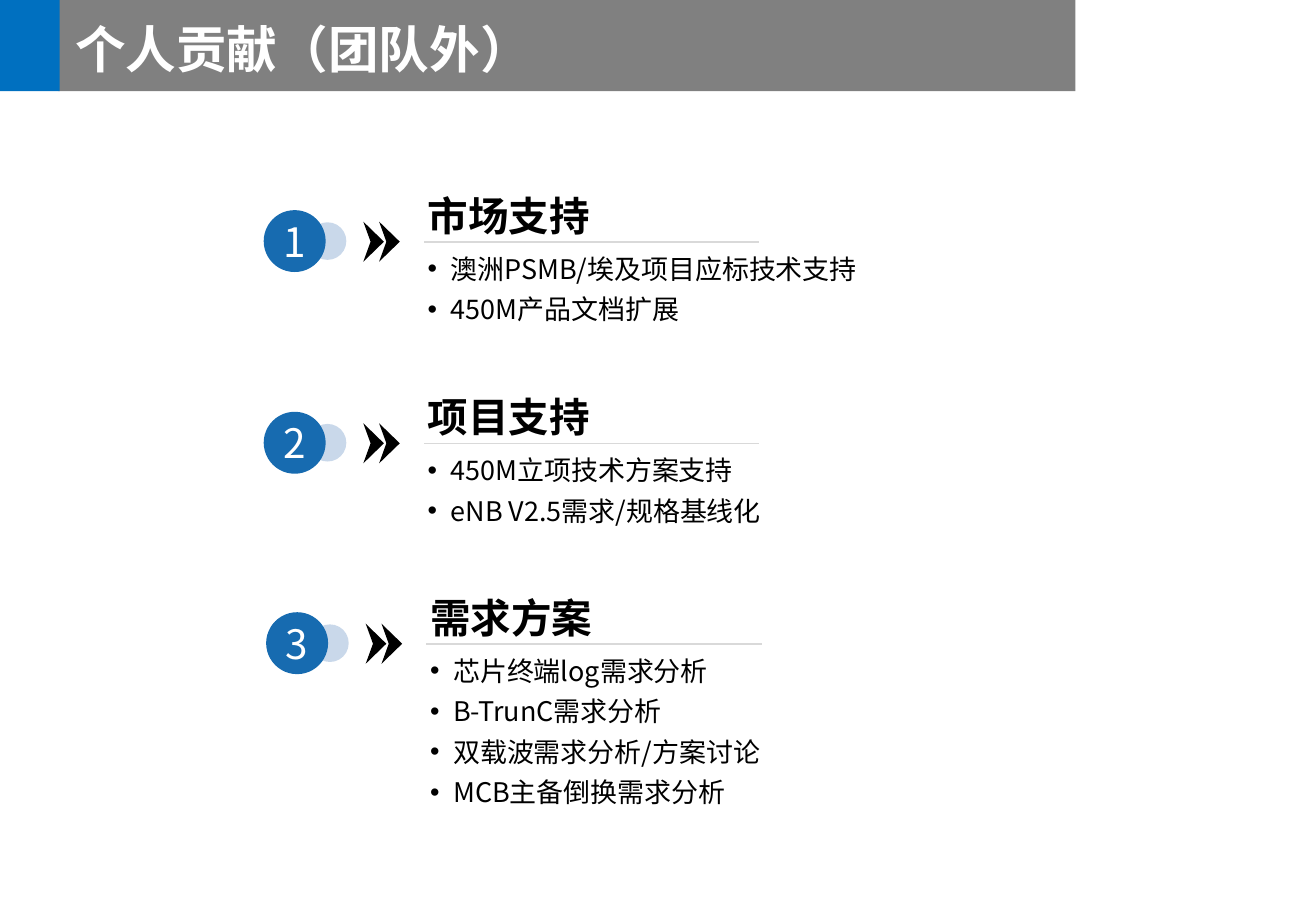
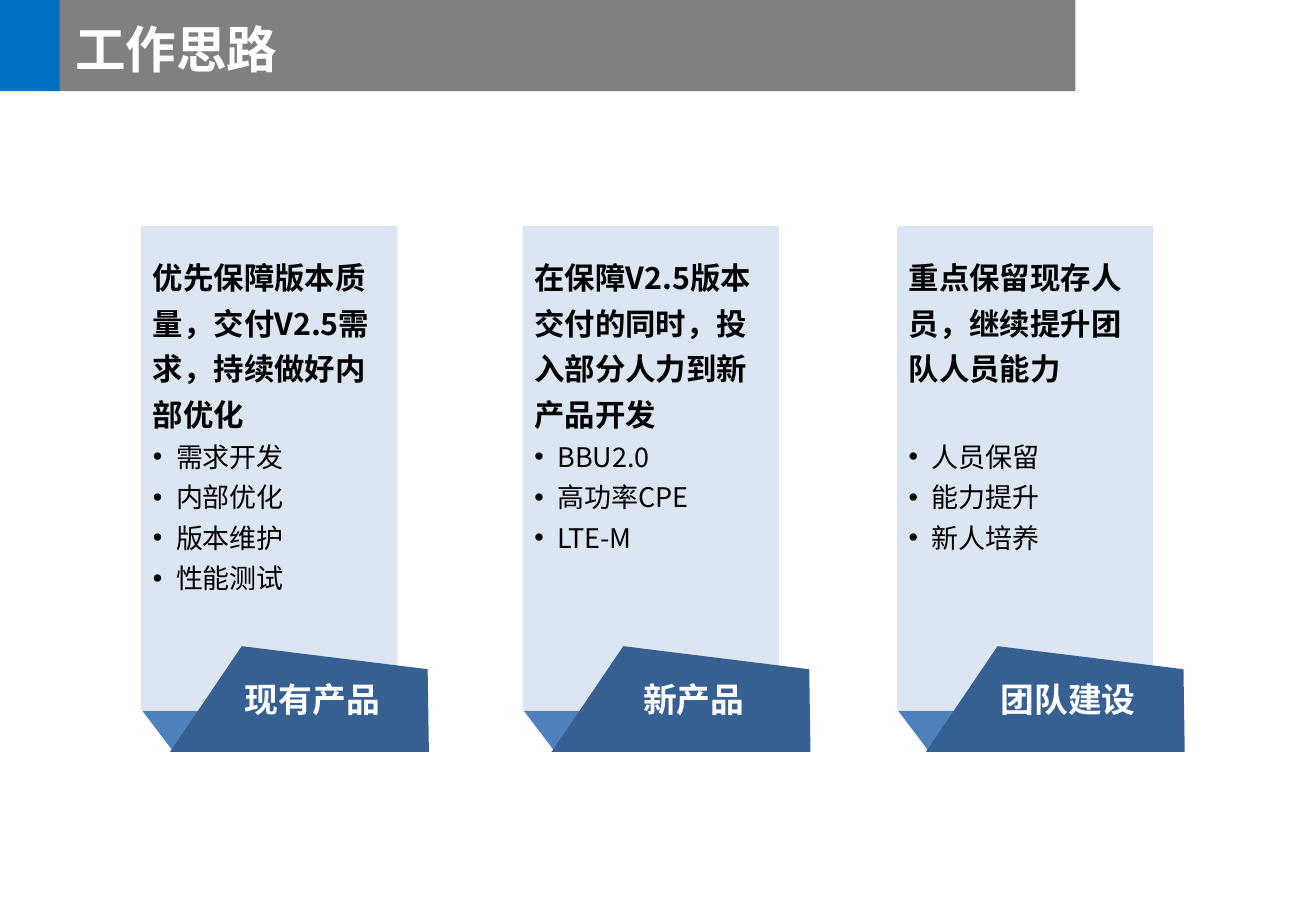
"""Build two slides: contributions outside the team and working approach."""
from dataclasses import dataclass
from typing import Any

from lxml import etree
from pptx import Presentation
from pptx import util as u
from pptx.dml.color import RGBColor
from pptx.enum import shapes, text
from pptx.oxml import ns

FONT = "Noto Sans CJK SC"
WHITE = RGBColor(0xFF, 0xFF, 0xFF)
BLACK = RGBColor(0x00, 0x00, 0x00)
BAND_GREY = RGBColor(0x80, 0x80, 0x80)
BAND_BLUE = RGBColor(0x00, 0x70, 0xC0)
BADGE_BLUE = RGBColor(0x17, 0x6B, 0xB0)
BADGE_ECHO = RGBColor(0x95, 0xB3, 0xD7)
RULE_GREY = RGBColor(0xD9, 0xD9, 0xD9)
CARD_FILL = RGBColor(0xDC, 0xE6, 0xF2)
CARD_FOLD = RGBColor(0x4F, 0x81, 0xBD)
CARD_LABEL = RGBColor(0x37, 0x60, 0x92)

RECT = shapes.MSO_SHAPE.RECTANGLE
OVAL = shapes.MSO_SHAPE.OVAL
TOP = text.MSO_ANCHOR.TOP
MIDDLE = text.MSO_ANCHOR.MIDDLE
BOTTOM = text.MSO_ANCHOR.BOTTOM
LEFT = text.PP_ALIGN.LEFT
CENTER = text.PP_ALIGN.CENTER

Point = tuple[float, float]


@dataclass(frozen=True)
class Line:
    """One paragraph and its format."""
    words: str
    size: float
    bold: bool = False
    color: RGBColor = BLACK
    align: Any = LEFT
    spacing: float = 1.0
    after: float = 0
    bullet: bool = False


@dataclass(frozen=True)
class Section:
    """A numbered heading with its bullets."""
    x: float
    y: float
    heading: str
    items: tuple[str, ...]


@dataclass(frozen=True)
class Card:
    """A folded card with its label."""
    x: float
    label: str
    summary: str
    items: tuple[str, ...]
    gap: float = 0


SECTIONS = (
    Section(2.17, 1.99, "市场支持", ("澳洲PSMB/埃及项目应标技术支持", "450M产品文档扩展")),
    Section(2.17, 3.65, "项目支持", ("450M立项技术方案支持", "eNB V2.5需求/规格基线化")),
    Section(2.19, 5.3, "需求方案", ("芯片终端log需求分析", "B-TrunC需求分析",
                                "双载波需求分析/方案讨论", "MCB主备倒换需求分析")),
)
CARDS = (
    Card(1.16, "现有产品", "优先保障版本质量，交付V2.5需求，持续做好内部优化",
         ("需求开发", "内部优化", "版本维护", "性能测试")),
    Card(4.3, "新产品", "在保障V2.5版本交付的同时，投入部分人力到新产品开发",
         ("BBU2.0", "高功率CPE", "LTE-M")),
    Card(7.38, "团队建设", "重点保留现存人员，继续提升团队人员能力",
         ("人员保留", "能力提升", "新人培养"), gap=27),
)


def assign(target: Any, values: dict[str, Any]) -> None:
    """Set every named attribute on the target."""
    for name, value in values.items():
        setattr(target, name, value)


def write(box: Any, lines: list[Line], anchor: Any = TOP,
          insets: tuple[float, ...] = (0, 0, 0, 0)) -> None:
    """Fill a shape with formatted paragraphs."""
    frame = box.text_frame
    sides = ("margin_left", "margin_top", "margin_right", "margin_bottom")
    assign(frame, {"word_wrap": True, "vertical_anchor": anchor,
                   **dict(zip(sides, map(u.Inches, insets)))})
    for index, line in enumerate(lines):
        para = frame.add_paragraph() if index else frame.paragraphs[0]
        assign(para, {"alignment": line.align, "line_spacing": line.spacing,
                      "space_after": u.Pt(line.after)})
        span = para.add_run()
        span.text = line.words
        assign(span.font, {"size": u.Pt(line.size), "bold": line.bold, "name": FONT})
        span.font.color.rgb = line.color
        etree.SubElement(span._r.get_or_add_rPr(), ns.qn("a:ea"), typeface=FONT)
        if line.bullet:
            props = para._p.get_or_add_pPr()
            props.set("marL", str(u.Inches(0.19)))
            props.set("indent", str(u.Inches(-0.19)))
            etree.SubElement(props, ns.qn("a:buFont"), typeface="Arial")
            etree.SubElement(props, ns.qn("a:buChar"), char="•")


def paint(shape: Any, color: RGBColor) -> Any:
    """Give a shape a plain fill with no line or shadow."""
    shape.shadow.inherit = False
    shape.fill.solid()
    shape.fill.fore_color.rgb = color
    shape.line.fill.background()
    return shape


def add_block(page: Any, kind: Any, at: tuple[float, ...], color: RGBColor) -> Any:
    """Add a filled preset shape."""
    return paint(page.shapes.add_shape(kind, *map(u.Inches, at)), color)


def add_outline(page: Any, contours: list[list[Point]], color: RGBColor) -> Any:
    """Add a filled outline of one or more closed contours."""
    rings = [[(u.Inches(x), u.Inches(y)) for x, y in ring] for ring in contours]
    builder = page.shapes.build_freeform(*rings[0][0])
    for index, ring in enumerate(rings):
        if index:
            builder.move_to(*ring[0])
        builder.add_line_segments(ring[1:], close=True)
    return paint(builder.convert_to_shape(), color)


def add_text(page: Any, at: tuple[float, ...], lines: list[Line], **layout: Any) -> Any:
    """Add a text box."""
    box = page.shapes.add_textbox(*map(u.Inches, at))
    write(box, lines, **layout)
    return box


def bullets(items: tuple[str, ...]) -> list[Line]:
    """Turn items into bulleted lines."""
    return [Line(item, 16, spacing=1.25, bullet=True) for item in items]


def add_page(deck: Any, title: str) -> Any:
    """Add a blank page with the title band."""
    page = deck.slides.add_slide(deck.slide_layouts[6])
    add_block(page, RECT, (0.48, 0, 8.37, 0.75), BAND_GREY)
    add_block(page, RECT, (0, 0, 0.49, 0.75), BAND_BLUE)
    box = add_text(page, (0.52, 0.05, 7.34, 0.7), [Line(title, 30, True, WHITE)],
                   anchor=MIDDLE, insets=(0.1, 0.1, 0.1, 0.1))
    box.text_frame.auto_size = text.MSO_AUTO_SIZE.SHAPE_TO_FIT_TEXT
    return page


def draw_section(page: Any, number: int, section: Section) -> None:
    """Draw a numbered section around its rule."""
    x, y = section.x, section.y
    echo = add_block(page, OVAL, (x + 0.37, y - 0.16, 0.31, 0.31), BADGE_ECHO)
    tint = echo.fill._xPr.find(".//" + ns.qn("a:srgbClr"))
    etree.SubElement(tint, ns.qn("a:alpha"), val="50000")
    badge = add_block(page, OVAL, (x, y - 0.26, 0.51, 0.51), BADGE_BLUE)
    write(badge, [Line(str(number), 24, color=WHITE, align=CENTER)], MIDDLE)
    chevrons = [[(left + 0.17, y), (left, y - 0.165), (left + 0.06, y), (left, y + 0.165)]
                for left in (x + 0.82, x + 0.95)]
    add_outline(page, chevrons, BLACK)
    add_text(page, (x + 1.35, y + 0.02, 5.34, 0.34 * len(section.items)),
             bullets(section.items))
    add_text(page, (x + 1.35, y - 0.61, 5.34, 0.59),
             [Line(section.heading, 24, True)], anchor=BOTTOM)
    ends = map(u.Inches, (x + 1.32, y, x + 4.08, y))
    rule = page.shapes.add_connector(shapes.MSO_CONNECTOR.STRAIGHT, *ends)
    rule.line.color.rgb = RULE_GREY
    rule.line.width = u.Pt(1)
    etree.SubElement(rule._element.spPr, ns.qn("a:effectLst"))


def draw_card(page: Any, card: Card) -> None:
    """Draw a card with its fold and label."""
    x = card.x
    fold = [(x + 0.01, 5.85), (x + 1.38, 5.85), (x + 1.38, 6.19), (x + 0.26, 6.18)]
    label = [(x + 0.83, 5.32), (x + 2.36, 5.51), (x + 2.37, 6.19), (x + 0.24, 6.19)]
    add_outline(page, [fold], CARD_FOLD)
    panel = add_block(page, RECT, (x, 1.86, 2.11, 3.99), CARD_FILL)
    summary = Line(card.summary, 18, True, spacing=1.25, after=card.gap)
    write(panel, [summary, *bullets(card.items)], insets=(0.1, 0.2, 0.1, 0.05))
    write(add_outline(page, [label], CARD_LABEL),
          [Line(card.label, 20, True, WHITE, CENTER)], MIDDLE, (0.31, 0.05, 0.1, 0.05))


def main() -> None:
    """Build and save the deck."""
    deck = Presentation()
    assign(deck, {"slide_width": u.Inches(10.83), "slide_height": u.Inches(7.5)})
    page = add_page(deck, "个人贡献（团队外）")
    for number, section in enumerate(SECTIONS, 1):
        draw_section(page, number, section)
    page = add_page(deck, "工作思路")
    for card in CARDS:
        draw_card(page, card)
    deck.save("out.pptx")


main()
